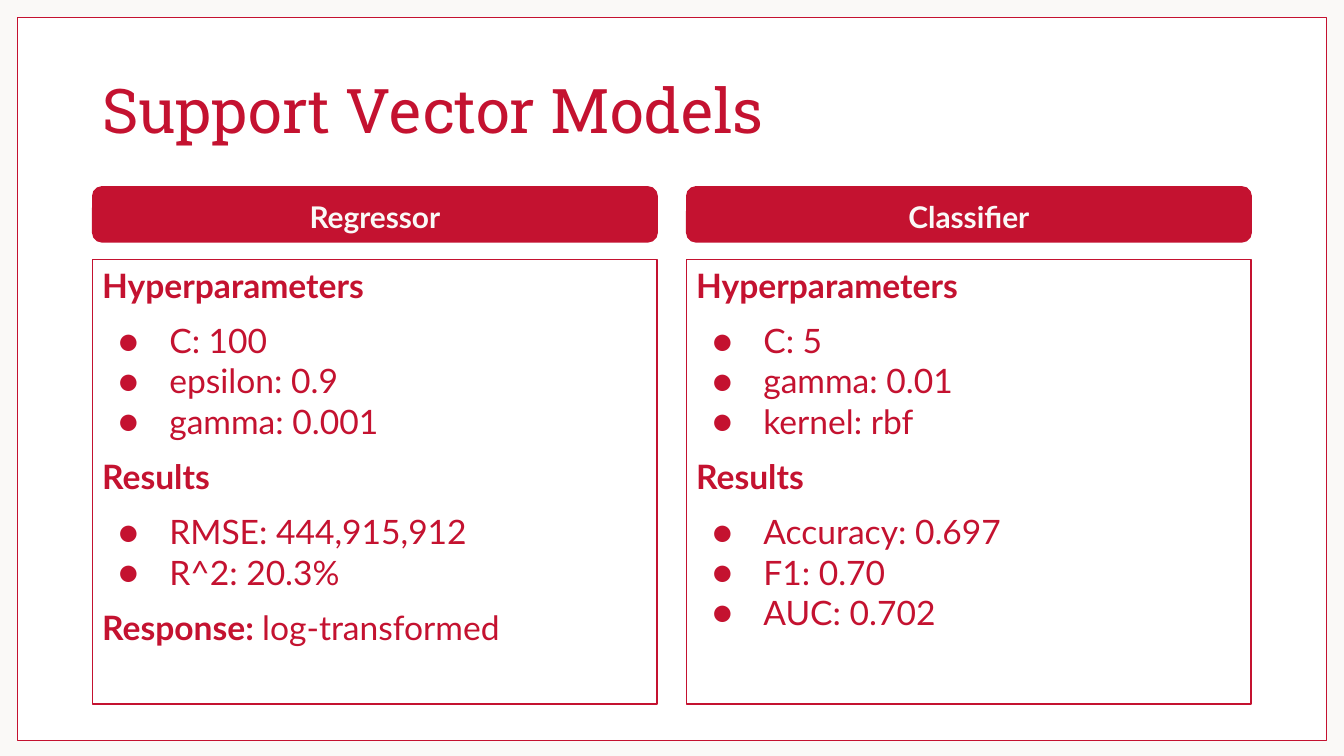
from lxml.etree import SubElement
from pptx import Presentation
from pptx.dml.color import RGBColor
from pptx.enum.shapes import MSO_SHAPE
from pptx.enum.text import MSO_ANCHOR, MSO_AUTO_SIZE, PP_ALIGN
from pptx.oxml.ns import qn
from pptx.util import Emu, Inches, Pt

RED, CREAM, WHITE = "C41230", "FAF9F7", "FFFFFF"
WIDTH = 10
HEIGHT = WIDTH * 9 / 16
FRAME = (0.13, 0.13, 9.74, 5.38)
LEFT, COLUMN, GUTTER = 0.69, 4.2, 0.22
TITLE_TOP, TITLE_HEIGHT = 0.3, 1.09
TOP, HEADER, GAP, BODY = 1.39, 0.41, 0.13, 3.31

# Each column: header, then sections of (heading, inline text, bullets)
COLUMNS = [
    ("Regressor", [
        ("Hyperparameters", "", ["C: 100", "epsilon: 0.9", "gamma: 0.001"]),
        ("Results", "", ["RMSE: 444,915,912", "R^2: 20.3%"]),
        ("Response: ", "log-transformed", []),
    ]),
    ("Classifier", [
        ("Hyperparameters", "", ["C: 5", "gamma: 0.01", "kernel: rbf"]),
        ("Results", "", ["Accuracy: 0.697", "F1: 0.70", "AUC: 0.702"]),
    ]),
]


def rgb(value):
    return RGBColor.from_string(value)


def add_box(s, kind, box, fill=None):
    sp = s.shapes.add_shape(kind, *map(Inches, box))
    sp.shadow.inherit = False
    if fill:
        sp.fill.solid()
        sp.fill.fore_color.rgb = rgb(fill)
    else:
        sp.fill.background()
    sp.line.color.rgb = rgb(RED)
    sp.line.width = Pt(0.75)
    return sp


def set_frame(tf, anchor, inset_x, inset_y):
    tf.word_wrap = True
    tf.auto_size = MSO_AUTO_SIZE.NONE
    tf.vertical_anchor = anchor
    tf.margin_left = tf.margin_right = Inches(inset_x)
    tf.margin_top = tf.margin_bottom = Inches(inset_y)


def add_run(p, text, size, color=RED, bold=False, font="Lato"):
    r = p.add_run()
    r.text = text
    r.font.name = font
    r.font.size = Pt(size)
    r.font.bold = bold
    r.font.color.rgb = rgb(color)


def next_paragraph(tf, before=0):
    """Return the empty first paragraph, or a new one, aligned left."""
    p = tf.paragraphs[0] if not tf.paragraphs[0].runs else tf.add_paragraph()
    p.alignment = PP_ALIGN.LEFT
    p.space_before = Pt(before)
    return p


def add_bullet(p):
    pPr = p._p.get_or_add_pPr()
    pPr.set("marL", str(Inches(0.5)))
    pPr.set("indent", str(Emu(-Inches(0.38))))
    color = SubElement(pPr, qn("a:buClr"))
    SubElement(color, qn("a:srgbClr"), val=RED)
    SubElement(pPr, qn("a:buFont"), typeface="Lato")
    SubElement(pPr, qn("a:buChar"), char="●")


def add_background(s):
    s.background.fill.solid()
    s.background.fill.fore_color.rgb = rgb(CREAM)
    frame = add_box(s, MSO_SHAPE.RECTANGLE, FRAME, WHITE)
    s.shapes._spTree.insert(2, frame._element)  # behind the title


def add_title(s, text, box):
    title = s.shapes.title
    title.left, title.top, title.width, title.height = map(Inches, box)
    tf = title.text_frame
    set_frame(tf, MSO_ANCHOR.MIDDLE, 0.07, 0.04)
    p = next_paragraph(tf)
    p.line_spacing = 0.9
    add_run(p, text, 33, font="Roboto Slab")


def add_header(s, text, box):
    sp = add_box(s, MSO_SHAPE.ROUNDED_RECTANGLE, box, RED)
    set_frame(sp.text_frame, MSO_ANCHOR.MIDDLE, 0.1, 0.1)
    p = next_paragraph(sp.text_frame, before=8)
    p.alignment = PP_ALIGN.CENTER
    p.line_spacing = 1.15
    add_run(p, text, 16, CREAM, bold=True)


def add_sections(s, sections, box):
    tf = add_box(s, MSO_SHAPE.RECTANGLE, box).text_frame
    set_frame(tf, MSO_ANCHOR.TOP, 0.07, 0.04)
    for heading, inline, bullets in sections:
        p = next_paragraph(tf, before=8)
        add_run(p, heading, 18, bold=True)
        if inline:
            add_run(p, inline, 18)
        for i, text in enumerate(bullets):
            p = next_paragraph(tf, before=0 if i else 8)
            add_bullet(p)
            add_run(p, text, 18)


def add_column(s, header, sections, box):
    x, y, w, h = box
    body_offset = HEADER + GAP
    add_header(s, header, (x, y, w, HEADER))
    add_sections(s, sections, (x, y + body_offset, w, h - body_offset))


def main():
    prs = Presentation()
    prs.slide_width, prs.slide_height = Inches(WIDTH), Inches(HEIGHT)
    s = prs.slides.add_slide(prs.slide_layouts[5])
    add_background(s)
    add_title(s, "Support Vector Models",
              (LEFT, TITLE_TOP, 2 * COLUMN + GUTTER, TITLE_HEIGHT))
    for i, (header, sections) in enumerate(COLUMNS):
        x = LEFT + i * (COLUMN + GUTTER)
        add_column(s, header, sections, (x, TOP, COLUMN, HEADER + GAP + BODY))
    prs.save("out.pptx")


if __name__ == "__main__":
    main()
